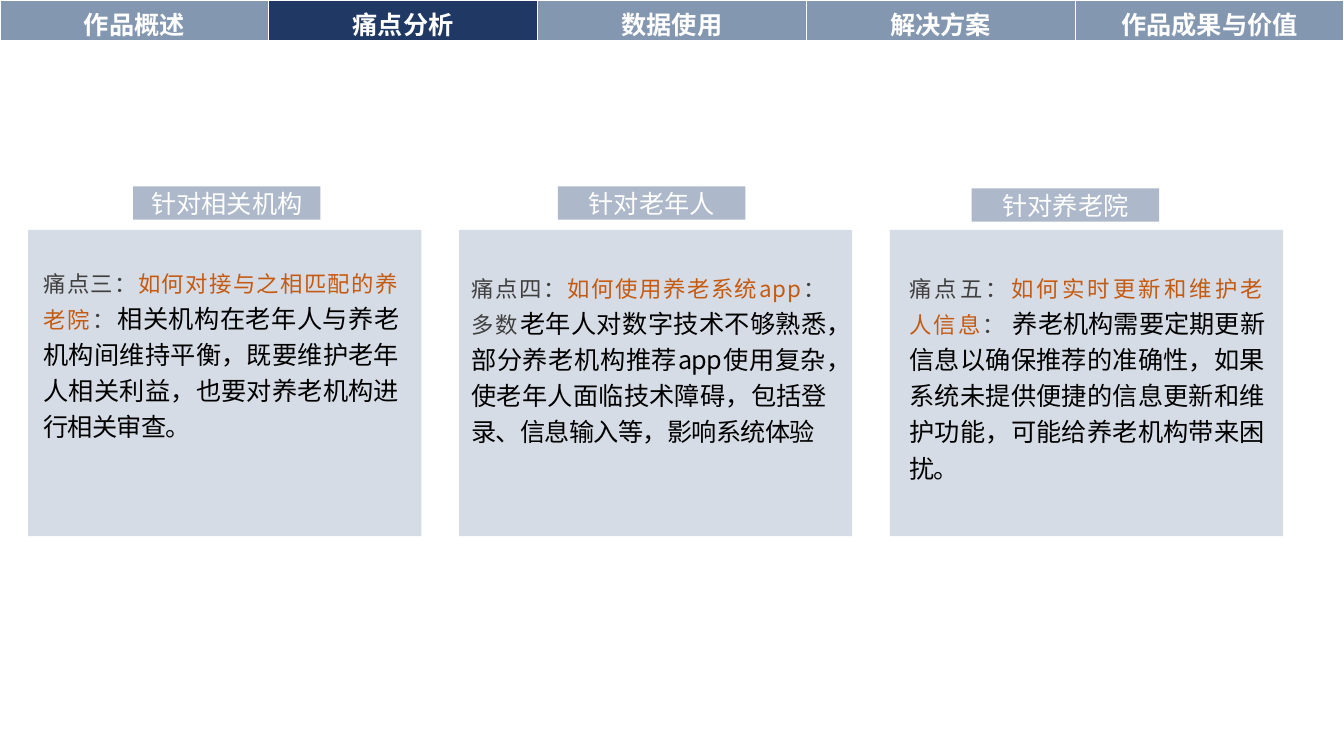
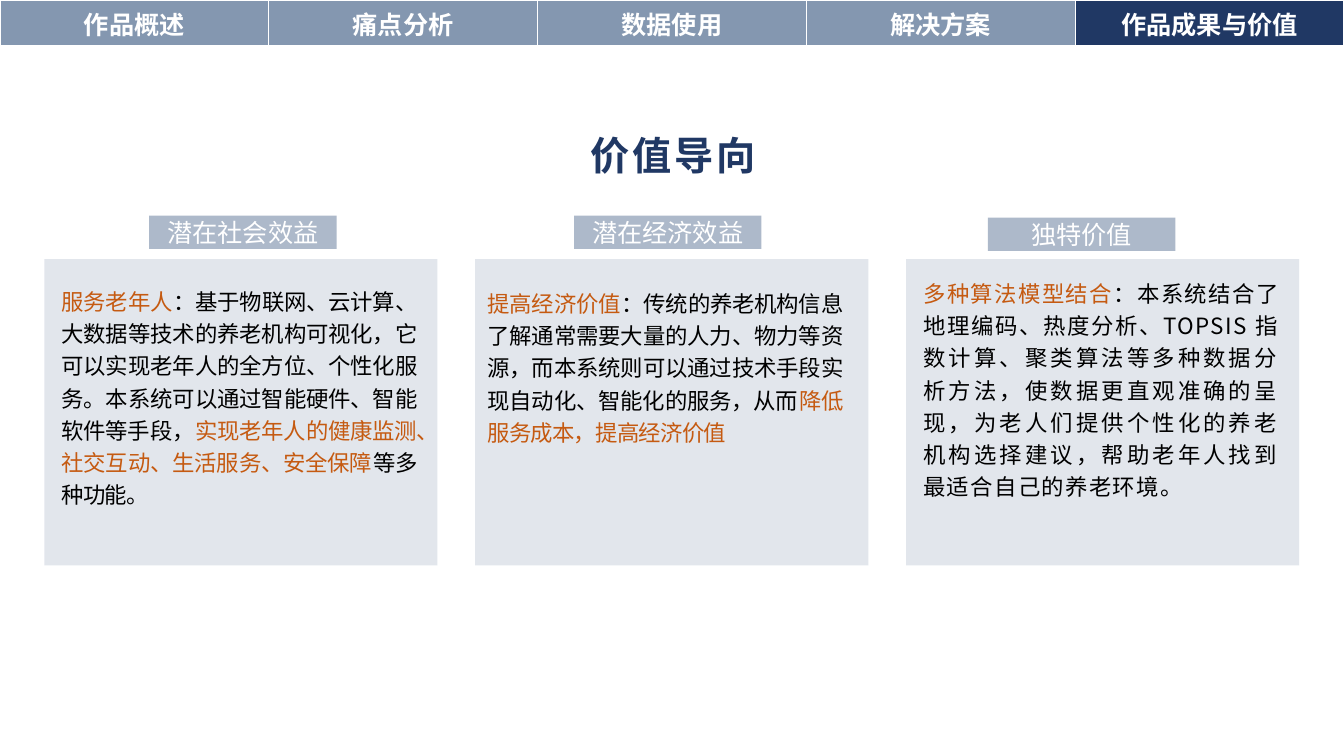
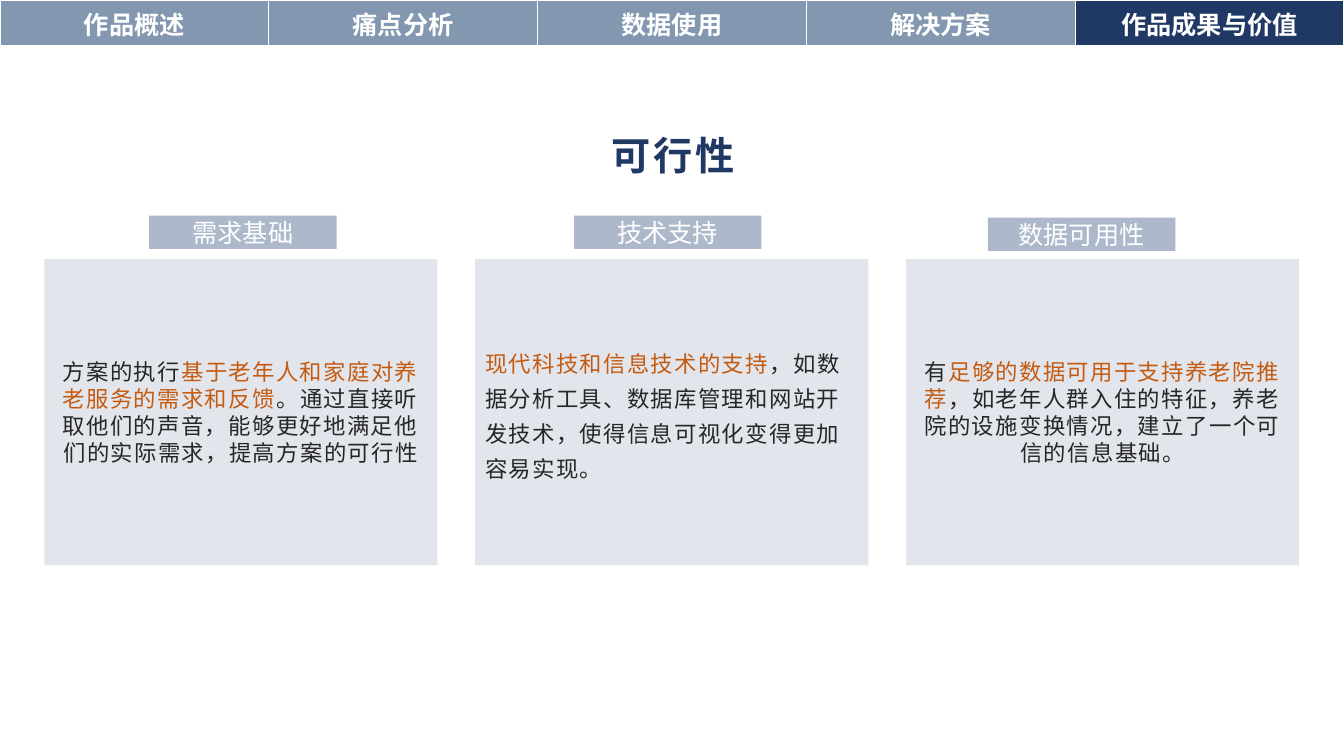
from lxml import etree
from pptx import Presentation
from pptx import util as u
from pptx.dml.color import RGBColor
from pptx.enum import lang, shapes, text
from pptx.oxml.ns import qn

NAVY = RGBColor(0x20, 0x38, 0x64)
STEEL = RGBColor(0x84, 0x97, 0xB0)
MIST = RGBColor(0xAD, 0xB9, 0xCA)
PALE = RGBColor(0xD6, 0xDC, 0xE5)
RUST = RGBColor(0xC5, 0x5A, 0x11)
GREY = RGBColor(0x40, 0x40, 0x40)
DARK = RGBColor(0x26, 0x26, 0x26)
BLACK = RGBColor(0, 0, 0)
WHITE = RGBColor(0xFF, 0xFF, 0xFF)
FONT = "Noto Sans CJK SC"
MID = text.MSO_ANCHOR.MIDDLE
LEFT, CENTER, JUST = text.PP_ALIGN.LEFT, text.PP_ALIGN.CENTER, text.PP_ALIGN.JUSTIFY
TABS = ["作品概述", "痛点分析", "数据使用", "解决方案", "作品成果与价值"]

deck = Presentation()
deck.slide_width, deck.slide_height = u.Inches(13.33), u.Inches(7.5)
W, H = deck.slide_width, deck.slide_height


def area(x, y, w, h):
    return [round(n * side / 100) for n, side in ((x, W), (y, H), (w, W), (h, H))]


def write(frame, runs, align=CENTER, anchor=MID, line=None, after=None, inset=None, bold=False):
    frame.word_wrap = True
    frame.vertical_anchor = anchor
    if inset:
        frame.margin_left = frame.margin_right = u.Inches(inset[0])
        frame.margin_top = frame.margin_bottom = u.Inches(inset[1])
    para = frame.paragraphs[0]
    para.alignment = align
    if line:
        para.line_spacing = line
    if after:
        para.space_after = u.Pt(after)
    for words, color, size, gap in runs:
        run = para.add_run()
        run.text = words
        font = run.font
        font.size, font.bold, font.name = u.Pt(size), bold, FONT
        font.color.rgb = color
        font.language_id = lang.MSO_LANGUAGE_ID.SIMPLIFIED_CHINESE
        props = run._r.get_or_add_rPr()
        props.set("spc", str(int(gap * 100)))
        etree.SubElement(props, qn("a:ea")).set("typeface", FONT)


TIGHT = (0.07, 0.03)
BODY = dict(align=JUST, line=1.2, inset=TIGHT)
PLAIN = dict(align=CENTER)
LOOSE = dict(align=LEFT, line=1.3, after=8)

PAGES = [
    dict(tab=1, title=None, left=2.1, top=30.4, alpha=100, foot=0, cards=[
        ("针对相关机构", (0.6, 18.93), BODY, [
            ("痛点三：", GREY, 16, 0.8),
            ("如何对接与之相匹配的养老院", RUST, 16, 0.8),
            ("：", GREY, 16, 0.8),
            ("相关机构在老年人与养老机构间维持平衡，既要维护老年人相关利益，也要对养老机构进行相关审查。",
             BLACK, 18, -0.5)]),
        ("针对老年人", (0.38, 19.6), BODY, [
            ("痛点四：", GREY, 16, 0.8),
            ("如何使用养老系统app", RUST, 16, 0.8),
            ("：多数", GREY, 16, 0.8),
            ("老年人对数字技术不够熟悉，部分养老机构推荐app使用复杂，使老年人面临技术障碍，包括登录、信息输入等，影响系统体验",
             BLACK, 18, -0.5)]),
        ("针对养老院", (0.9, 22), BODY, [
            ("痛点五：", GREY, 16, 1),
            ("如何实时更新和维护老人信息", RUST, 16, 1),
            ("：", GREY, 16, 1),
            (" 养老机构需要定期更新信息以确保推荐的准确性，如果系统未提供便捷的信息更新和维护功能，可能给养老机构带来困扰。",
             BLACK, 18, -0.5)])]),
    dict(tab=4, title="价值导向", left=3.3, top=34.27, alpha=70, foot=0.05, cards=[
        ("潜在社会效益", (0.75, 24.53), BODY, [
            ("服务老年人", RUST, 16, -0.5),
            ("：基于物联网、云计算、大数据等技术的养老机构可视化，它可以实现老年人的全方位、个性化服务。本系统可以通过智能硬件、智能软件等手段，",
             BLACK, 16, -0.5),
            ("实现老年人的健康监测、社交互动、生活服务、安全保障", RUST, 16, -0.5),
            ("等多种功能。", BLACK, 16, -0.5)]),
        ("潜在经济效益", (0.38, 20.53), BODY, [
            ("提高经济价值", RUST, 16, -0.5),
            ("：传统的养老机构信息了解通常需要大量的人力、物力等资源，而本系统则可以通过技术手段实现自动化、智能化的服务，从而",
             BLACK, 16, -0.5),
            ("降低服务成本，提高经济价值", RUST, 16, -0.5)]),
        ("独特价值", (0.75, 23.47), BODY, [
            ("多种算法模型结合", RUST, 16, 0),
            ("：本系统结合了", BLACK, 16, 0),
            ("地理编码、热度分析、TOPSIS 指数计算、聚类算法等多种数据分析方法，使数据更直观准确的呈现，为老人们提供个性化的养老机构选择建议，帮助老年人找到最适合自己的养老环境",
             BLACK, 16, 1),
            ("。", BLACK, 16, 0)])]),
    dict(tab=4, title="可行性", left=3.3, top=34.27, alpha=70, foot=0.05, cards=[
        ("需求基础", None, PLAIN, [
            ("方案的执行", DARK, 16, 1),
            ("基于老年人和家庭对养老服务的需求和反馈", RUST, 16, 1),
            ("。通过直接听取他们的声音，能够更好地满足他们的实际需求，提高方案的可行性", DARK, 16, 1)]),
        ("技术支持", None, LOOSE, [
            ("现代科技和信息技术的支持", RUST, 16, 1),
            ("，如数据分析工具、数据库管理和网站开发技术，使得信息可视化变得更加容易实现。", DARK, 16, 1)]),
        ("数据可用性", None, PLAIN, [
            ("有", DARK, 16, 1),
            ("足够的数据可用于支持养老院推荐", RUST, 16, 1),
            ("，如老年人群入住的特征，养老院的设施变换情况，建立了一个可信的信息基础。", DARK, 16, 1)])]),
]
STEP = 32.06
TAGS = [(7.8, -5.73), (7.35, -5.73), (6.08, -5.47)]
EDGES = [("a:lnL", 1), ("a:lnR", 1), ("a:lnT", 1), ("a:lnB", 3)]

for page in PAGES:
    slide = deck.slides.add_slide(deck.slide_layouts[5 if page["title"] else 6])
    if page["title"]:
        head = slide.shapes.title
        head.left, head.top, head.width, head.height = area(35.7, 16.27, 28.72, 7.73)
        write(head.text_frame, [(page["title"], NAVY, 28, 2)],
              anchor=text.MSO_ANCHOR.BOTTOM, inset=TIGHT, bold=True)

    grid = slide.shapes.add_table(1, len(TABS), *area(0, 0, 100, 5.6)).table
    grid.first_row = grid.horz_banding = False
    for i, name in enumerate(TABS):
        cell = grid.cell(0, i)
        cell.fill.solid()
        cell.fill.fore_color.rgb = NAVY if i == page["tab"] else STEEL
        cell.margin_bottom = u.Inches(page["foot"])
        write(cell.text_frame, [(name, WHITE, 18, 0)], anchor=text.MSO_ANCHOR.TOP, bold=True)
        props = cell._tc.get_or_add_tcPr()
        for n, (edge, wide) in enumerate(EDGES):
            rule = etree.Element(qn(edge), w=str(u.Pt(wide)))
            fill = etree.SubElement(rule, qn("a:solidFill"))
            etree.SubElement(fill, qn("a:srgbClr"), val=str(WHITE))
            props.insert(n, rule)

    for i, (label, spot, style, runs) in enumerate(page["cards"]):
        x, y = page["left"] + i * STEP, page["top"]
        dx, dy = TAGS[i]
        card, tag = [slide.shapes.add_shape(shapes.MSO_SHAPE.RECTANGLE, *area(*box))
                     for box in ((x, y, 29.25, 40.53), (x + dx, y + dy, 13.95, 4.4))]
        for shape, color in ((card, PALE), (tag, MIST)):
            shape.shadow.inherit = False
            shape.fill.solid()
            shape.fill.fore_color.rgb = color
            shape.line.fill.background()
        if page["alpha"] < 100:
            tint = card._element.spPr.find(qn("a:solidFill"))[0]
            etree.SubElement(tint, qn("a:alpha"), val=str(page["alpha"] * 1000))
        write(tag.text_frame, [(label, WHITE, 18, 0)])
        body = card
        if spot:
            body = slide.shapes.add_textbox(*area(x + spot[0], spot[1], 27.5, 55.6))
        write(body.text_frame, runs, **style)

deck.save("out.pptx")
